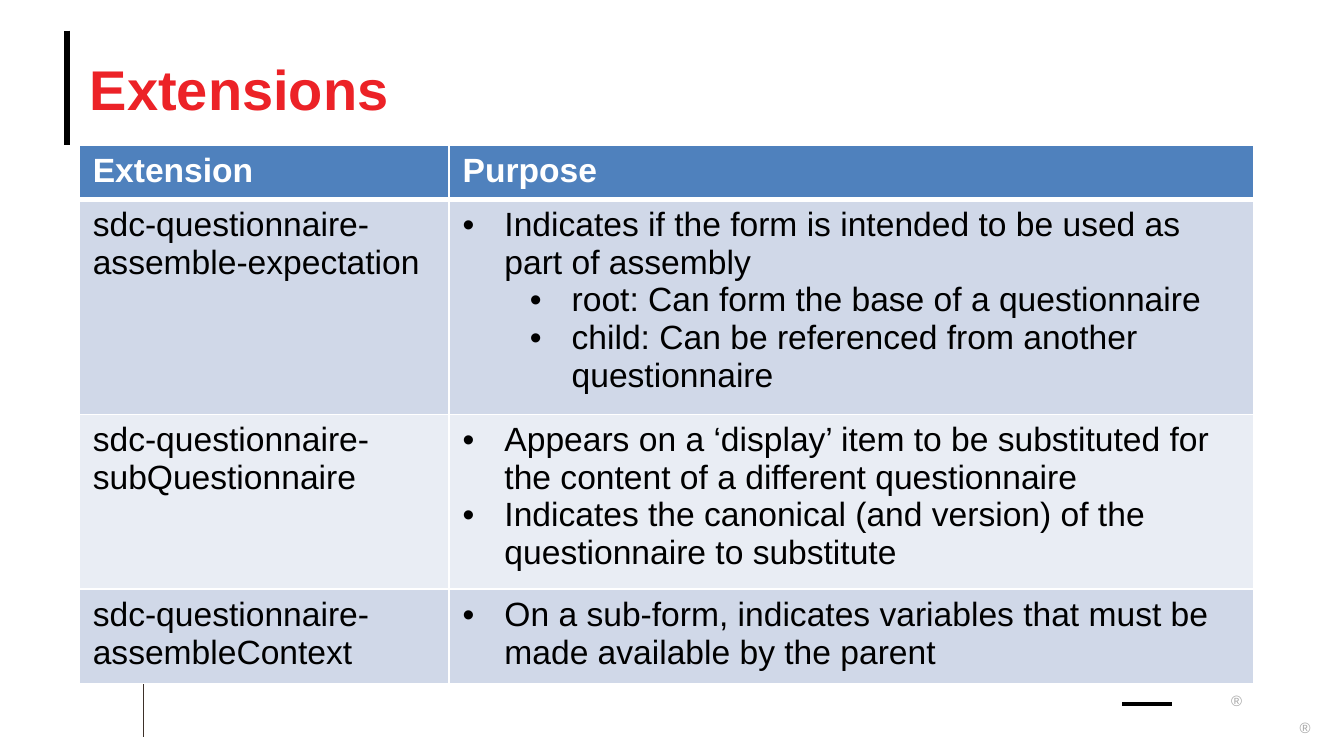
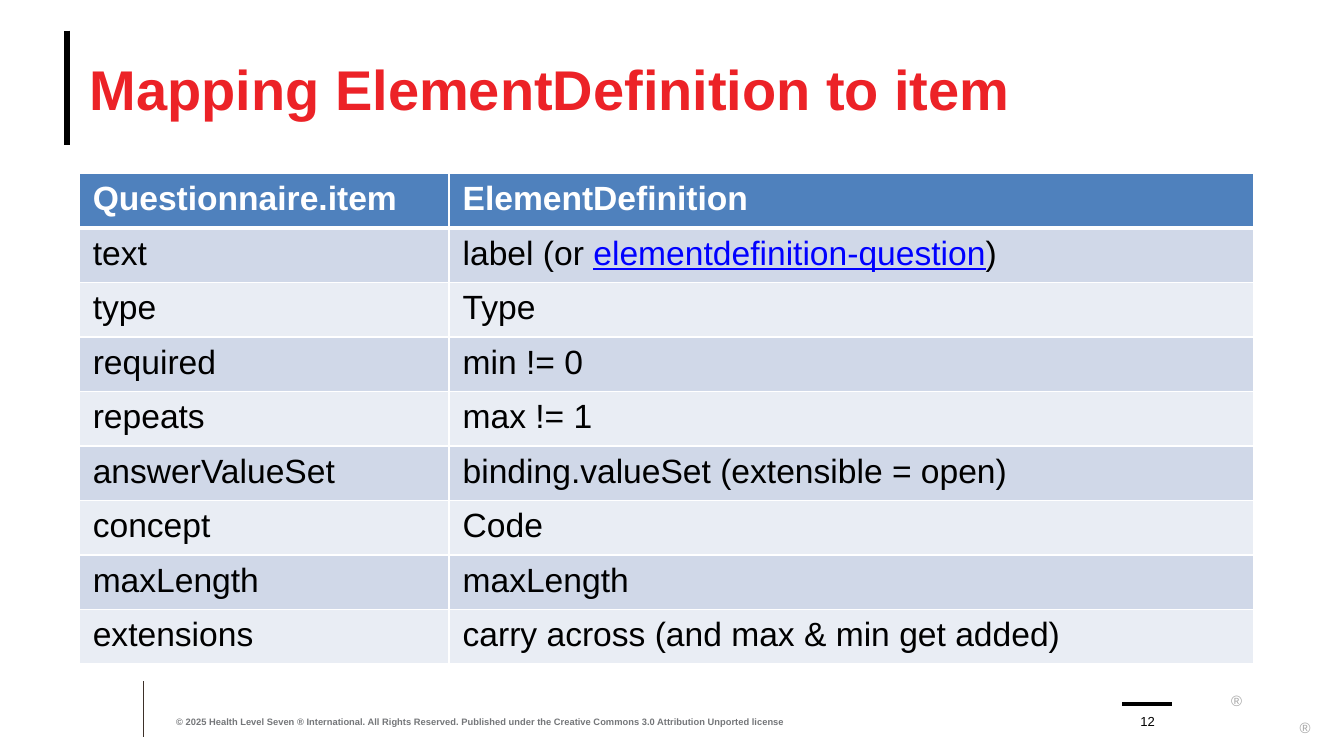
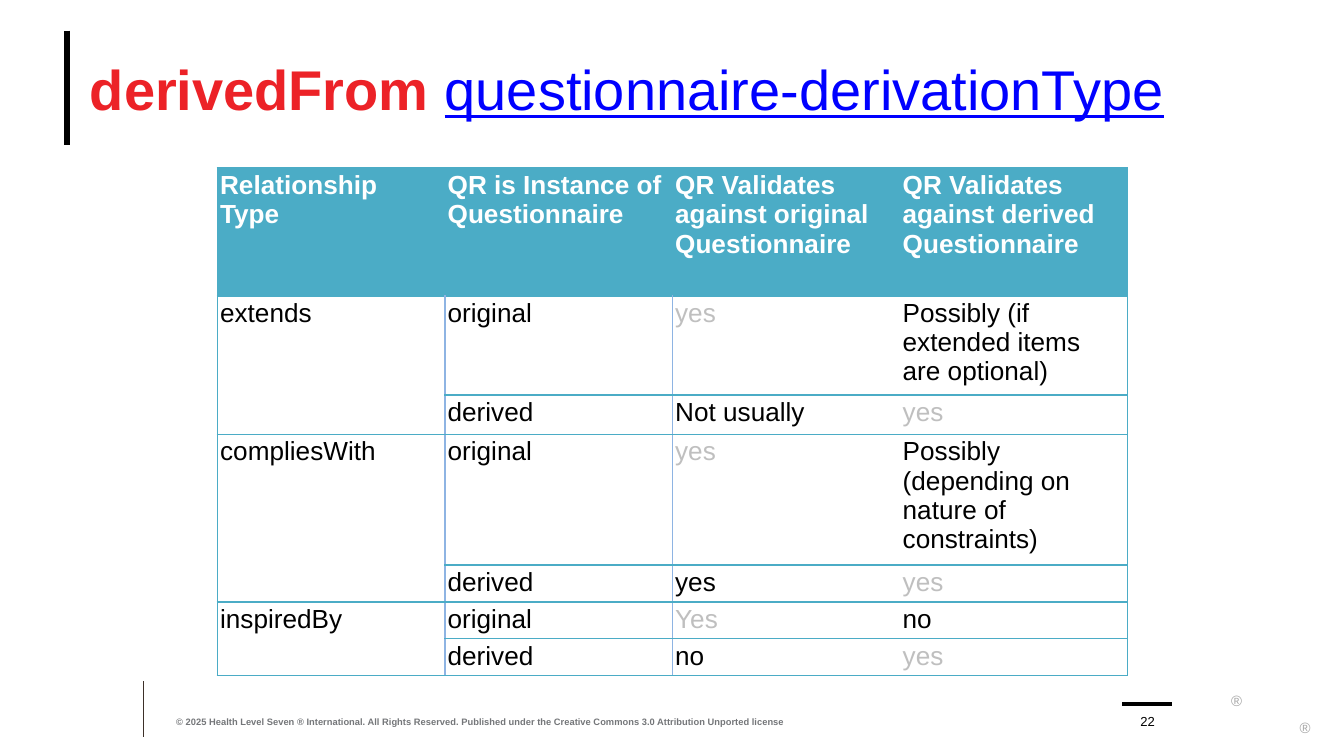
from lxml import etree
from pptx import Presentation
from pptx.dml.color import RGBColor
from pptx.enum.shapes import MSO_CONNECTOR
from pptx.enum.text import MSO_ANCHOR, PP_ALIGN
from pptx.oxml.ns import qn
from pptx.util import Cm, Pt

STRAIGHT = MSO_CONNECTOR.STRAIGHT
TOP, MIDDLE, BOTTOM = MSO_ANCHOR.TOP, MSO_ANCHOR.MIDDLE, MSO_ANCHOR.BOTTOM
LEFT, CENTER = PP_ALIGN.LEFT, PP_ALIGN.CENTER

FONT = "Arial"
COLORS = {
    "title": "EC2227", "text": "000000", "link": "0000FF", "white": "FFFFFF",
    "muted": "BFBFBF", "mark": "A6A6A6", "footer": "747679", "rule": "3D3029",
    "header": "4F81BD", "band": "D0D8E8", "light band": "E9EDF4",
    "teal": "4BACC6", "divider": "8EB4E3",
}
LINKS = {"elementdefinition-question", "questionnaire-derivationType"}
COPYRIGHT = ("© 2025 Health Level Seven ® International. All Rights Reserved. "
             "Published under the Creative Commons 3.0 Attribution Unported license")


def write(paragraph, text, size, color, bold=False):
    """Add one run; link texts are blue, underlined and never bold."""
    is_link = text in LINKS
    run = paragraph.add_run()
    run.text = text
    run.font.name = FONT
    run.font.size = Pt(size)
    run.font.bold = bold and not is_link
    run.font.underline = is_link
    run.font.color.rgb = RGBColor.from_string(COLORS["link" if is_link else color])


def style_cell(cell, fill, borders):
    """Set the fill and the borders, given as {side: (color, points)}."""
    props = cell._tc.get_or_add_tcPr()
    for side in "LRTB":
        line = etree.SubElement(props, qn(f"a:ln{side}"))
        if side in borders:
            color, points = borders[side]
            line.set("w", str(Pt(points)))
            solid = etree.SubElement(line, qn("a:solidFill"))
            etree.SubElement(solid, qn("a:srgbClr"), val=COLORS[color])
        else:
            etree.SubElement(line, qn("a:noFill"))
    cell.fill.solid()
    cell.fill.fore_color.rgb = RGBColor.from_string(COLORS[fill])


prs = Presentation()
prs.slide_width, prs.slide_height = Cm(25.4), Cm(14.29)

# Title, rules, registered marks and footer of every slide
pages = [
    (["Extensions"], None),
    (["Mapping ElementDefinition to item"], "12"),
    (["derivedFrom ", "questionnaire-derivationType"], "22"),
]
rules = [
    (1.27, 0.58, 1.27, 2.74, "text", 3.25),
    (2.72, 12.88, 2.72, 13.94, "rule", 0.5),
    (21.21, 13.31, 22.15, 13.31, "text", 2),
]
slides = []
for title, number in pages:
    slide = prs.slides.add_slide(prs.slide_layouts[6])
    slides.append(slide)

    for x1, y1, x2, y2, color, points in rules:
        rule = slide.shapes.add_connector(STRAIGHT, Cm(x1), Cm(y1), Cm(x2), Cm(y2))
        rule.line.color.rgb = RGBColor.from_string(COLORS[color])
        rule.line.width = Pt(points)
        etree.SubElement(rule._element.spPr, qn("a:effectLst"))

    # position, top inset, anchor, alignment, texts, size, color, bold
    texts = [
        ((23.27, 12.95, 0.28, 0.23), 0.13, TOP, LEFT, ["®"], 8, "mark", False),
        ((24.56, 13.46, 0.23, 0.23), 0.13, TOP, LEFT, ["®"], 8, "mark", False),
        ((1.7, 0.58, 22.86, 2.18), 0, MIDDLE, LEFT, title, 30, "title", True),
    ]
    if number:
        texts += [
            ((3.33, 13.31, 12.57, 0.43), 0, BOTTOM, LEFT, [COPYRIGHT], 5, "footer", True),
            ((21.31, 13.31, 0.76, 0.48), 0, BOTTOM, CENTER, [number], 7, "text", False),
        ]
    for position, inset, anchor, align, parts, size, color, bold in texts:
        frame = slide.shapes.add_textbox(*[Cm(v) for v in position]).text_frame
        frame.margin_left = frame.margin_right = frame.margin_bottom = 0
        frame.margin_top = Cm(inset)
        frame.word_wrap = parts != ["®"]
        frame.vertical_anchor = anchor
        paragraph = frame.paragraphs[0]
        paragraph.alignment = align
        for part in parts:
            write(paragraph, part, size, color, bold)

# Two-column tables: each purpose is a list of (bullet level, texts)
extensions = [
    ("Extension", [(None, ["Purpose"])]),
    ("sdc-questionnaire-assemble-expectation", [
        (0, ["Indicates if the form is intended to be used as part of assembly"]),
        (1, ["root: Can form the base of a questionnaire"]),
        (1, ["child: Can be referenced from another questionnaire"])]),
    ("sdc-questionnaire-subQuestionnaire", [
        (0, ["Appears on a ‘display’ item to be substituted for the content of "
             "a different questionnaire"]),
        (0, ["Indicates the canonical (and version) of the questionnaire to substitute"])]),
    ("sdc-questionnaire-assembleContext", [
        (0, ["On a sub-form, indicates variables that must be made available "
             "by the parent"])]),
]
mapping = [
    ("Questionnaire.item", [(None, ["ElementDefinition"])]),
    ("text", [(None, ["label (or ", "elementdefinition-question", ")"])]),
    ("type", [(None, ["Type"])]),
    ("required", [(None, ["min != 0"])]),
    ("repeats", [(None, ["max != 1"])]),
    ("answerValueSet", [(None, ["binding.valueSet (extensible = open)"])]),
    ("concept", [(None, ["Code"])]),
    ("maxLength", [(None, ["maxLength"])]),
    ("extensions", [(None, ["carry across (and max & min get added)"])]),
]
ROW_HEIGHT = 1.03
BULLET_INDENTS = [0.79, 2.06]
for slide, rows, top in [(slides[0], extensions, 2.74), (slides[1], mapping, 3.28)]:
    table = slide.shapes.add_table(len(rows), 2, Cm(1.5), Cm(top), Cm(22.2),
                                   Cm(ROW_HEIGHT * len(rows))).table
    table.columns[0].width, table.columns[1].width = Cm(6.99), Cm(15.21)
    for r, (name, purpose) in enumerate(rows):
        table.rows[r].height = Cm(ROW_HEIGHT)
        fill = "header" if r == 0 else ("light band", "band")[r % 2]
        borders = {side: ("white", 1) for side in "LRTB"}
        if r < 2:
            borders["B" if r == 0 else "T"] = ("white", 3)
        for c, paragraphs in enumerate([[(None, [name])], purpose]):
            cell = table.cell(r, c)
            style_cell(cell, fill, borders)
            for i, (level, parts) in enumerate(paragraphs):
                frame = cell.text_frame
                paragraph = frame.add_paragraph() if i else frame.paragraphs[0]
                if level is not None:
                    paragraph.level = level
                    props = paragraph._p.get_or_add_pPr()
                    props.set("marL", str(Cm(BULLET_INDENTS[level])))
                    props.set("indent", str(-Cm(BULLET_INDENTS[0])))
                    etree.SubElement(props, qn("a:buFont"), typeface=FONT)
                    etree.SubElement(props, qn("a:buChar"), char="•")
                for part in parts:
                    write(paragraph, part, 18, "text" if r else "white", r == 0)

# Derivation table: each relationship type spans an original and a derived row
derivations = [
    ["Relationship Type", "QR is Instance of Questionnaire",
     "QR Validates against original Questionnaire",
     "QR Validates against derived Questionnaire"],
    ["extends", "original", "yes", "Possibly (if extended items are optional)"],
    ["", "derived", "Not usually", "yes"],
    ["compliesWith", "original", "yes", "Possibly (depending on nature of constraints)"],
    ["", "derived", "yes", "yes"],
    ["inspiredBy", "original", "Yes", "no"],
    ["", "derived", "no", "yes"],
]
heights = [2.41, 0.69, 0.74, 0.69, 0.69, 0.69, 0.69]
COLUMN_WIDTH = 4.3
table = slides[2].shapes.add_table(len(derivations), 4, Cm(4.11), Cm(3.18),
                                   Cm(4 * COLUMN_WIDTH), Cm(sum(heights))).table
for column in table.columns:
    column.width = Cm(COLUMN_WIDTH)
for r, row in enumerate(derivations):
    table.rows[r].height = Cm(heights[r])
    for c, text in enumerate(row):
        cell = table.cell(r, c)
        cell.margin_left = cell.margin_right = Cm(0.05)
        cell.margin_top = cell.margin_bottom = Cm(0.05)
        borders = {"T": ("teal", 1), "B": ("teal", 1)}
        if c == 0:
            borders["L"] = ("teal", 1)
        if c == 3:
            borders["R"] = ("teal", 1)
        if r and c < 2:
            borders["R"] = ("divider", 1)
        if r and c in (1, 2):
            borders["L"] = ("divider", 1)
        style_cell(cell, "white" if r else "teal", borders)
        # A questionnaire always validates against the one it is an instance of
        expected = r > 0 and c == (2 if row[1] == "original" else 3)
        color = "white" if r == 0 else "muted" if expected else "text"
        if text:
            write(cell.text_frame.paragraphs[0], text, 14, color, r == 0)
for r in range(1, len(derivations), 2):
    table.cell(r, 0).merge(table.cell(r + 1, 0))

prs.save("out.pptx")
